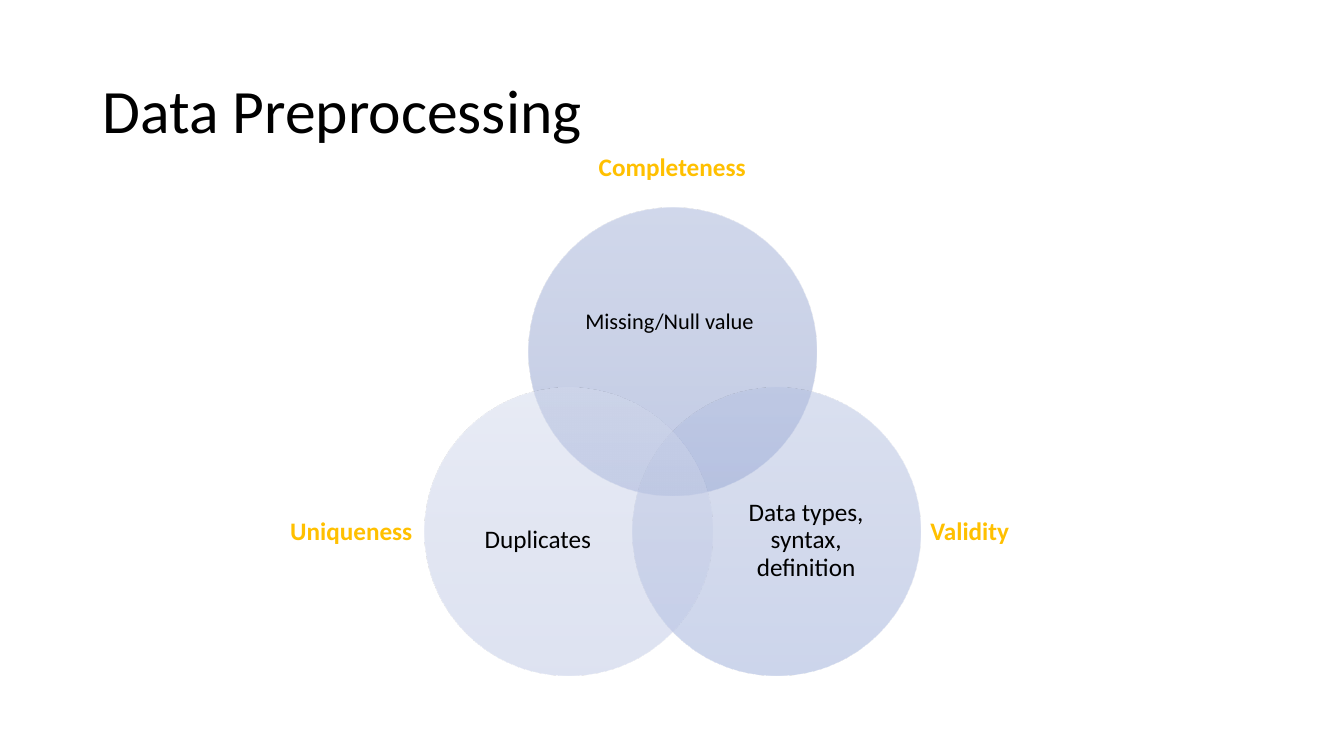
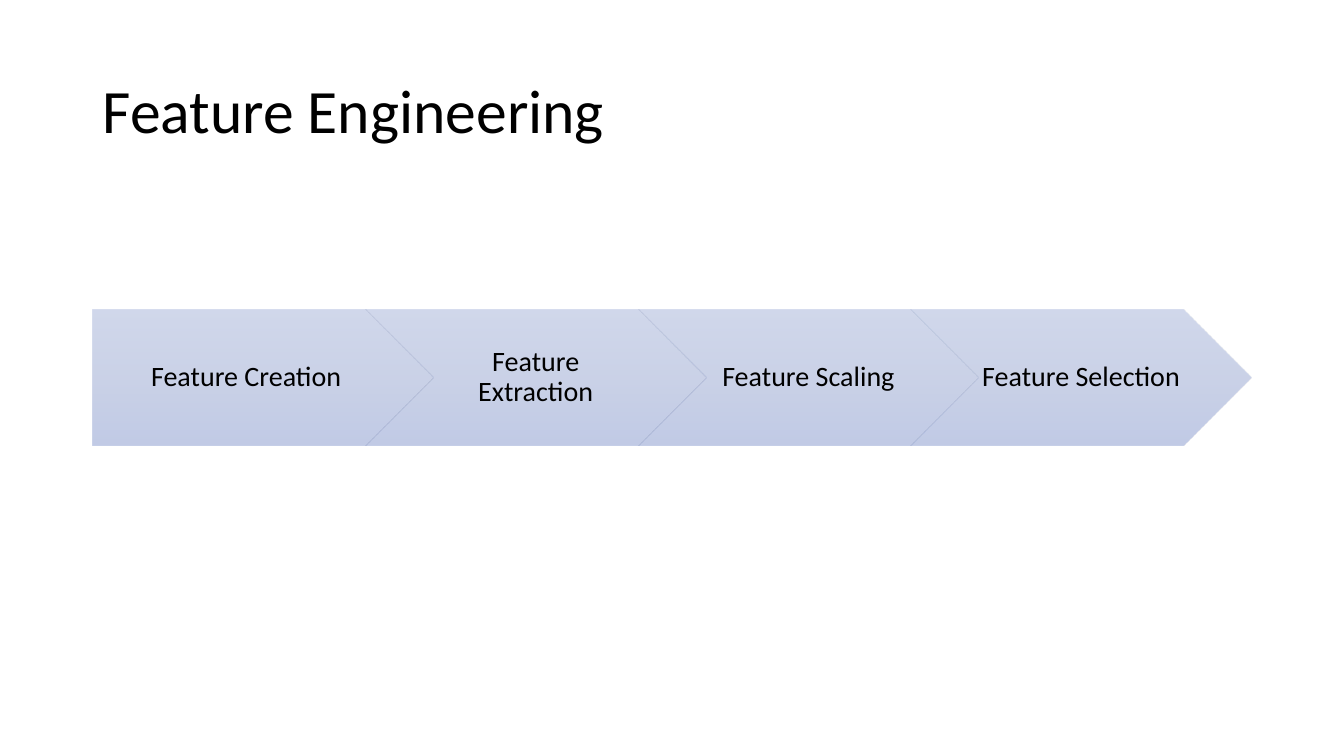
from dataclasses import dataclass
from math import cos, radians, sin

from lxml.etree import SubElement
from pptx import Presentation
from pptx.dml.color import RGBColor
from pptx.enum.shapes import MSO_SHAPE as Preset
from pptx.enum.text import MSO_ANCHOR as Anchor, PP_ALIGN as Align
from pptx.oxml.ns import qn
from pptx.util import Inches, Pt


@dataclass(frozen=True)
class Theme:
    font: str = "Calibri"
    ink: str = "000000"
    accent: str = "FFC000"
    deep: tuple = ("A4B2D9", "97A6D1", "8497CE")
    medium: tuple = ("B7C3E2", "AAB7DC", "9BADDA")
    pale: tuple = ("D3DAED", "C7CFE8", "BEC8E6")
    opacity: int = 50
    title_size: int = 44
    step_size: int = 20
    label_size: int = 18
    small_size: int = 16


THEME = Theme()


def add_text(slide, words, box, size, color=THEME.ink, bold=False,
             align=Align.LEFT, anchor=Anchor.MIDDLE, spacing=0.9,
             wrap=True, inset=True):
    frame = slide.shapes.add_textbox(*map(Inches, box)).text_frame
    frame.word_wrap = wrap
    frame.vertical_anchor = anchor
    if not inset:
        frame.margin_left = frame.margin_right = 0
        frame.margin_top = frame.margin_bottom = 0
    paragraph = frame.paragraphs[0]
    paragraph.alignment = align
    paragraph.line_spacing = spacing
    run = paragraph.add_run()
    run.text = words
    run.font.name = THEME.font
    run.font.size = Pt(size)
    run.font.bold = bold
    run.font.color.rgb = RGBColor.from_string(color)


def add_caption(slide, words, box, size):
    add_text(slide, words, box, size, align=Align.CENTER, inset=False)


def add_heading(slide, words, box):
    add_text(slide, words, box, THEME.label_size, THEME.accent, bold=True,
             anchor=Anchor.TOP, spacing=1.0, wrap=False)


def add_glass(slide, preset, box, colors):
    glass = slide.shapes.add_shape(preset, *map(Inches, box))
    glass.shadow.inherit = False
    glass.line.fill.background()
    glass.fill.gradient()
    glass.fill.gradient_angle = 270
    stops = next(glass.element.iter(qn("a:gsLst")))
    for stop in list(stops):
        stops.remove(stop)
    for position, color in zip((0, 50, 100), colors):
        stop = SubElement(stops, qn("a:gs"), pos=str(position * 1000))
        tint = SubElement(stop, qn("a:srgbClr"), val=color)
        SubElement(tint, qn("a:alpha"), val=str(THEME.opacity * 1000))


def add_titled_slide(deck, title):
    slide = deck.slides.add_slide(deck.slide_layouts[6])
    add_text(slide, title, (0.92, 0.4, 11.5, 1.45), THEME.title_size)
    return slide


def build_preprocessing(deck):
    slide = add_titled_slide(deck, "Data Preprocessing")
    center_x, center_y, orbit, diameter = 6.67, 4.68, 1.19, 2.86
    circles = (
        (-90, THEME.deep, "Missing/Null value ", (5.62, 2.56, 2.09, 1.28), THEME.small_size),
        (30, THEME.medium, "Data types, syntax, definition", (7.14, 4.58, 1.71, 1.57), THEME.label_size),
        (150, THEME.pale, "Duplicates", (4.48, 4.58, 1.71, 1.57), THEME.label_size),
    )
    for angle, colors, words, caption_box, size in circles:
        left = center_x + orbit * cos(radians(angle)) - diameter / 2
        top = center_y + orbit * sin(radians(angle)) - diameter / 2
        add_glass(slide, Preset.OVAL, (left, top, diameter, diameter), colors)
        add_caption(slide, words, caption_box, size)
    add_heading(slide, "Completeness", (5.84, 1.45, 1.67, 0.4))
    add_heading(slide, "Uniqueness", (2.78, 5.06, 1.42, 0.4))
    add_heading(slide, "Validity", (9.13, 5.06, 0.99, 0.4))


def build_engineering(deck):
    slide = add_titled_slide(deck, "Feature Engineering")
    start, top, width, height = 0.92, 3.07, 3.38, 1.35
    pitch, point = width * 0.8, height / 2
    steps = ("Feature Creation", "Feature Extraction", "Feature Scaling", "Feature Selection")
    for index, words in enumerate(steps):
        left = start + index * pitch
        if index == 0:
            preset, caption_left, caption_width = Preset.PENTAGON, left, width - point / 2
        else:
            preset, caption_left, caption_width = Preset.CHEVRON, left + point, width - 2 * point
        add_glass(slide, preset, (left, top, width, height), THEME.deep)
        add_caption(slide, words, (caption_left, top, caption_width, height), THEME.step_size)


def main():
    deck = Presentation()
    deck.slide_width, deck.slide_height = Inches(13.33), Inches(7.5)
    build_preprocessing(deck)
    build_engineering(deck)
    deck.save("out.pptx")


if __name__ == "__main__":
    main()
